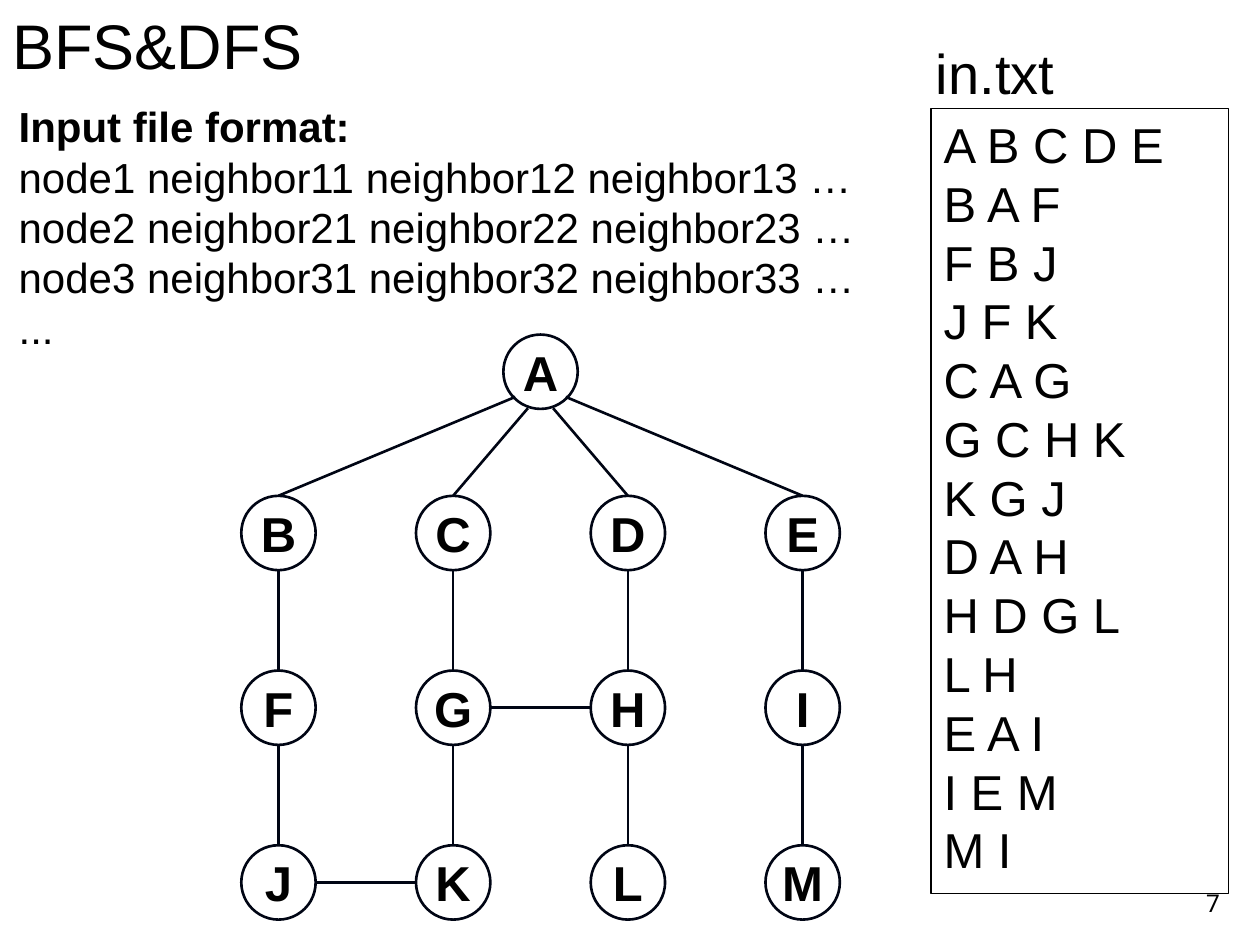
from lxml.etree import SubElement
from pptx import Presentation
from pptx.dml.color import RGBColor
from pptx.enum.shapes import MSO_CONNECTOR, MSO_SHAPE
from pptx.enum.text import MSO_ANCHOR, MSO_AUTO_SIZE, PP_ALIGN
from pptx.oxml.ns import qn
from pptx.util import Inches, Pt

BLACK = RGBColor(0x00, 0x00, 0x00)
INK = RGBColor(0x00, 0x05, 0x14)

DIAMETER = 0.59
RADIUS = DIAMETER / 2
STEP = 4.16 / 3
FIRST_X, FIRST_Y = 2.21, 4.23
ROOT_X, ROOT_Y = FIRST_X + 1.5 * STEP, 2.95

LEVELS = ["BCDE", "FGHI", "JKLM"]
SIDE_EDGES = ["GH", "JK"]
ROOT_EXITS = {"B": (-0.2, 0.2), "C": (-0.1, 0.29), "D": (0.1, 0.29), "E": (0.2, 0.2)}

FORMAT_LINES = [
    "Input file format:",
    "node1 neighbor11 neighbor12 neighbor13 …",
    "node2 neighbor21 neighbor22 neighbor23 …",
    "node3 neighbor31 neighbor32 neighbor33 …",
    "...",
]
ADJACENCY = [
    "A B C D E", "B A F", "F B J", "J F K", "C A G", "G C H K", "K G J",
    "D A H", "H D G L", "L H", "E A I", "I E M", "M I",
]


class GraphSlide:
    font = "Arial"

    def __init__(self, deck):
        self.slide = deck.slides.add_slide(deck.slide_layouts[5])
        self.shapes = self.slide.shapes

    def set_text(self, shape, lines, size, font=font, bold_lines=0, align=PP_ALIGN.LEFT,
                 anchor=MSO_ANCHOR.TOP, wrap=True, spacing=None):
        frame = shape.text_frame
        frame.auto_size = MSO_AUTO_SIZE.NONE
        frame.word_wrap = wrap
        frame.vertical_anchor = anchor
        for index, line in enumerate(lines):
            paragraph = frame.paragraphs[0] if index == 0 else frame.add_paragraph()
            paragraph.alignment = align
            if spacing:
                paragraph.line_spacing = Pt(spacing)
            run = paragraph.add_run()
            run.text = line
            run.font.name = font
            run.font.size = Pt(size)
            run.font.bold = index < bold_lines
            run.font.color.rgb = BLACK

    def title(self, text, left, top, width, height, size):
        heading = self.shapes.title
        heading.left, heading.top = Inches(left), Inches(top)
        heading.width, heading.height = Inches(width), Inches(height)
        self.set_text(heading, [text], size)

    def text(self, lines, left, top, width, height, size, **style):
        label = self.shapes.add_textbox(
            Inches(left), Inches(top), Inches(width), Inches(height))
        self.set_text(label, lines, size, **style)

    def outline(self, preset, left, top, width, height, color, weight):
        shape = self.shapes.add_shape(
            preset, Inches(left), Inches(top), Inches(width), Inches(height))
        shape.shadow.inherit = False
        shape.fill.background()
        shape.line.color.rgb = color
        shape.line.width = Pt(weight)
        return shape

    def listing(self, lines, left, top, width, height, size, spacing):
        panel = self.outline(MSO_SHAPE.RECTANGLE, left, top, width, height, BLACK, 0.75)
        self.set_text(panel, lines, size, spacing=spacing)

    def node(self, name, x, y):
        circle = self.outline(
            MSO_SHAPE.OVAL, x - RADIUS, y - RADIUS, DIAMETER, DIAMETER, INK, 1.5)
        self.set_text(circle, [name], 28, bold_lines=1, align=PP_ALIGN.CENTER,
                      anchor=MSO_ANCHOR.MIDDLE, wrap=False)

    def edge(self, x1, y1, x2, y2):
        link = self.shapes.add_connector(
            MSO_CONNECTOR.STRAIGHT, Inches(x1), Inches(y1), Inches(x2), Inches(y2))
        link.line.color.rgb = INK
        link.line.width = Pt(1.5)
        SubElement(link._element.spPr, qn("a:effectLst"))


def main():
    deck = Presentation()
    deck.slide_width, deck.slide_height = Inches(10), Inches(7.5)
    page = GraphSlide(deck)

    page.text(["7"], 7.7, 6.83, 2.08, 0.5, 14, font="Roboto",
              align=PP_ALIGN.RIGHT, anchor=MSO_ANCHOR.BOTTOM)

    centers = {
        name: (FIRST_X + column * STEP, FIRST_Y + row * STEP)
        for row, level in enumerate(LEVELS)
        for column, name in enumerate(level)
    }
    page.node("A", ROOT_X, ROOT_Y)
    for name, (x, y) in centers.items():
        page.node(name, x, y)

    for left, right in SIDE_EDGES:
        (x1, y), (x2, _) = centers[left], centers[right]
        page.edge(x1 + RADIUS, y, x2 - RADIUS, y)
    for parents, children in zip(LEVELS, LEVELS[1:]):
        for parent, child in zip(parents, children):
            (x, y1), (_, y2) = centers[parent], centers[child]
            page.edge(x, y1 + RADIUS, x, y2 - RADIUS)
    for child, (dx, dy) in ROOT_EXITS.items():
        x, y = centers[child]
        page.edge(ROOT_X + dx, ROOT_Y + dy, x, y - RADIUS)

    page.listing(ADJACENCY, 7.39, 0.86, 2.36, 6.23, 28, 33.6)
    page.text(["in.txt"], 7.33, 0.26, 1.75, 0.64, 32)
    page.title("BFS&DFS", 0, 0, 3.42, 0.71, 36)
    page.text(FORMAT_LINES, 0.05, 0.75, 7.06, 2.52, 24, bold_lines=1, spacing=28.8)

    deck.save("out.pptx")


if __name__ == "__main__":
    main()
